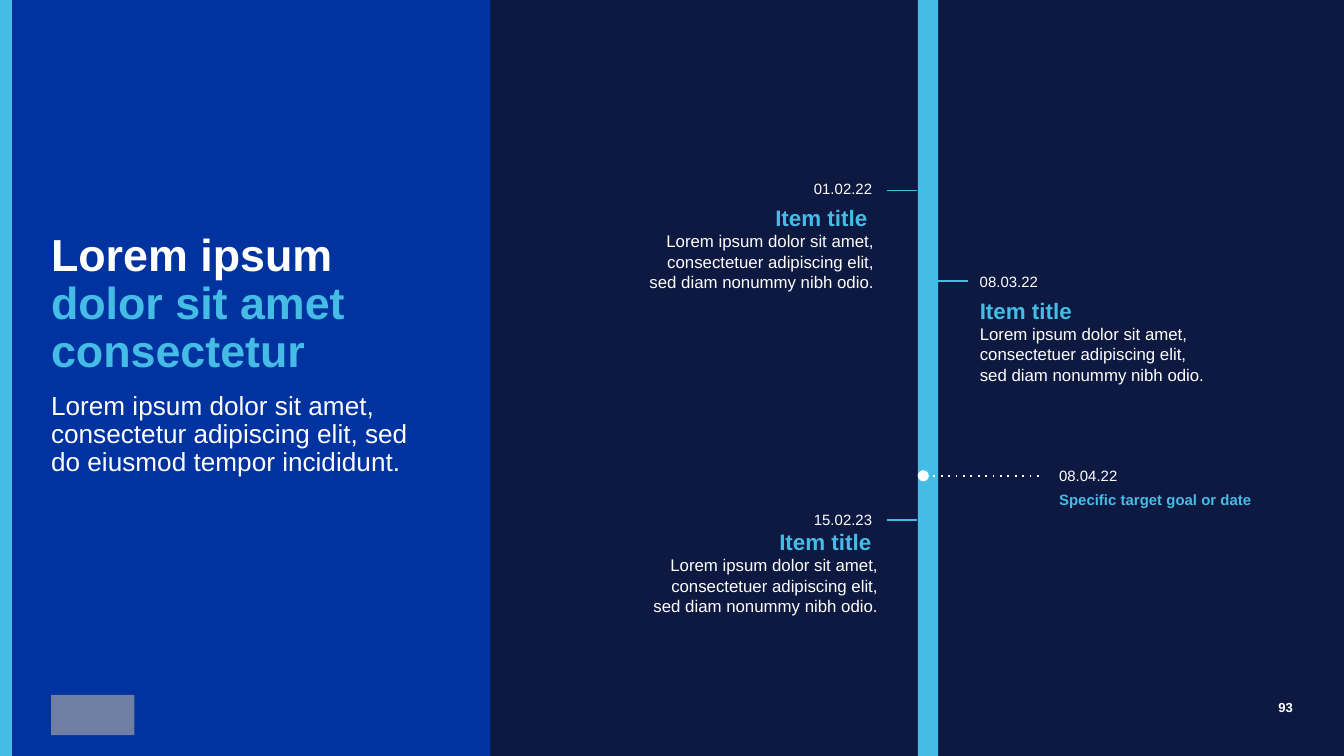
from copy import deepcopy
from dataclasses import dataclass

from lxml.etree import SubElement
from pptx import Presentation
from pptx.dml.color import RGBColor
from pptx.enum.shapes import MSO_CONNECTOR as Connector, MSO_SHAPE as Shape
from pptx.enum.text import MSO_ANCHOR as Anchor, MSO_AUTO_SIZE as AutoSize, PP_ALIGN as Align
from pptx.oxml.ns import qn
from pptx.util import Inches, Pt

COLORS = {"night": "0E1941", "blue": "0033A0", "sky": "45BCE5", "white": "FFFFFF", "grey": "A5A5A5"}
FONT = "Arial"
WIDTH = 10
HEIGHT = WIDTH * 9 / 16
MARGIN = 0.38
INSET = (0.07, 0.07)
ITEM_TEXT = (
    "Item title \nLorem ipsum dolor sit amet, consectetuer adipiscing elit,\n"
    "sed diam nonummy nibh odio."
)


@dataclass
class Style:
    size: float
    color: str = "white"
    bold: bool = False


@dataclass
class Box:
    left: float
    top: float
    width: float
    height: float


@dataclass
class Milestone:
    date: str
    date_box: Box
    item_box: Box
    tick: tuple[float, float, float]
    align: Align
    anchor: Anchor = Anchor.TOP
    inset: tuple[float, float] = INSET


DATE = Style(8)
ITEM_STYLES = [Style(12, "sky", True), Style(9)]
MILESTONES = [
    Milestone("01.02.22", Box(5.71, 1.27, 0.85, 0.29), Box(4.67, 1.45, 1.9, 0.94),
              (6.6, 6.82, 1.42), Align.RIGHT),
    Milestone("08.03.22", Box(7.22, 1.95, 0.84, 0.29), Box(7.22, 2.14, 2.08, 0.94),
              (6.97, 7.2, 2.09), Align.LEFT, Anchor.MIDDLE),
    Milestone("15.02.23", Box(5.71, 3.73, 0.85, 0.29), Box(4.67, 3.91, 1.9, 0.83),
              (6.6, 6.82, 3.87), Align.RIGHT, inset=(0.04, 0.02)),
]


def rgb(name: str) -> RGBColor:
    return RGBColor.from_string(COLORS[name])


def inches(box: Box) -> list:
    return [Inches(v) for v in (box.left, box.top, box.width, box.height)]


def add_block(slide, box: Box, color: str):
    block = slide.shapes.add_shape(Shape.RECTANGLE, *inches(box))
    block.shadow.inherit = False
    block.fill.solid()
    block.fill.fore_color.rgb = rgb(color)
    block.line.fill.background()
    return block


def add_line(slide, start: float, end: float, y: float, color: str, width: float):
    line = slide.shapes.add_connector(
        Connector.STRAIGHT, Inches(start), Inches(y), Inches(end), Inches(y))
    line.line.color.rgb = rgb(color)
    line.line.width = Pt(width)
    SubElement(line._element.spPr, qn("a:effectLst"))
    return line


def write(frame, text: str, styles: list[Style], align=Align.LEFT, anchor=Anchor.TOP,
          inset=(0, 0), auto_size=AutoSize.NONE):
    frame.word_wrap = True
    frame.auto_size = auto_size
    frame.vertical_anchor = anchor
    frame.margin_left = frame.margin_right = Inches(inset[0])
    frame.margin_top = frame.margin_bottom = Inches(inset[1])
    paragraph = frame.paragraphs[0]
    paragraph.text = text
    paragraph.alignment = align
    for index, run in enumerate(paragraph.runs):
        style = styles[min(index, len(styles) - 1)]
        run.font.name = FONT
        run.font.size = Pt(style.size)
        run.font.bold = style.bold
        run.font.color.rgb = rgb(style.color)
    for line_break in paragraph._p.findall(qn("a:br")):
        line_break.append(deepcopy(line_break.getprevious().find(qn("a:rPr"))))
    return paragraph


def add_text(slide, box: Box, text: str, styles: list[Style], **layout):
    frame = slide.shapes.add_textbox(*inches(box)).text_frame
    return write(frame, text, styles, **layout)


def add_milestone(slide, milestone: Milestone):
    add_line(slide, *milestone.tick, "sky", 0.75)
    item = add_text(slide, milestone.item_box, ITEM_TEXT, ITEM_STYLES, align=milestone.align,
                    inset=milestone.inset, auto_size=AutoSize.SHAPE_TO_FIT_TEXT)
    item.space_after = Pt(10)
    add_text(slide, milestone.date_box, milestone.date, [DATE], align=milestone.align,
             anchor=milestone.anchor, inset=INSET, auto_size=AutoSize.SHAPE_TO_FIT_TEXT)


def add_target(slide):
    pointer = add_line(slide, 7.73, 6.87, 3.54, "white", 1)
    outline = pointer.line._get_or_add_ln()
    SubElement(outline, qn("a:prstDash"), val="dot")
    SubElement(outline, qn("a:tailEnd"), type="oval")
    labels = [
        (Box(7.81, 3.39, 1.11, 0.29), "08.04.22", DATE),
        (Box(7.81, 3.57, 1.91, 0.29), "Specific target goal or date", Style(8, "sky", True)),
    ]
    for box, text, style in labels:
        add_text(slide, box, text, [style], anchor=Anchor.MIDDLE, inset=INSET,
                 auto_size=AutoSize.SHAPE_TO_FIT_TEXT)


def add_intro(slide):
    title = slide.shapes.title
    title.left, title.top, title.width, title.height = inches(Box(MARGIN, 1.73, 3.15, 1.09))
    heading = write(title.text_frame, "Lorem ipsum \ndolor sit amet consectetur",
                    [Style(24, "white", True), Style(24, "sky", True)])
    summary = add_text(
        slide, Box(MARGIN, 2.92, 2.78, 0.61),
        "Lorem ipsum dolor sit amet, consectetur adipiscing elit, sed do eiusmod tempor incididunt.",
        [Style(14)], auto_size=AutoSize.SHAPE_TO_FIT_TEXT)
    heading.line_spacing = summary.line_spacing = 0.9


def main():
    deck = Presentation()
    deck.slide_width, deck.slide_height = Inches(WIDTH), Inches(HEIGHT)
    slide = deck.slides.add_slide(deck.slide_layouts[5])
    slide.background.fill.solid()
    slide.background.fill.fore_color.rgb = rgb("night")

    add_block(slide, Box(0, 0, 0.09, HEIGHT), "sky")
    panel = add_block(slide, Box(0.09, 0, 3.56, HEIGHT), "blue")
    logo = add_block(slide, Box(MARGIN, 5.17, 0.62, 0.3), "grey")
    logo_color = logo._element.spPr.find(qn("a:solidFill"))[0]
    SubElement(logo_color, qn("a:alpha"), val="67000")

    title = slide.shapes.title._element
    panel._element.getparent().append(title)
    add_intro(slide)
    add_text(slide, Box(9.03, 5.17, 0.59, 0.18), "93", [Style(7, "white", True)],
             align=Align.RIGHT, anchor=Anchor.MIDDLE)

    add_block(slide, Box(6.83, 0, 0.15, HEIGHT), "sky")
    for milestone in MILESTONES:
        add_milestone(slide, milestone)
    add_target(slide)
    deck.save("out.pptx")


if __name__ == "__main__":
    main()
